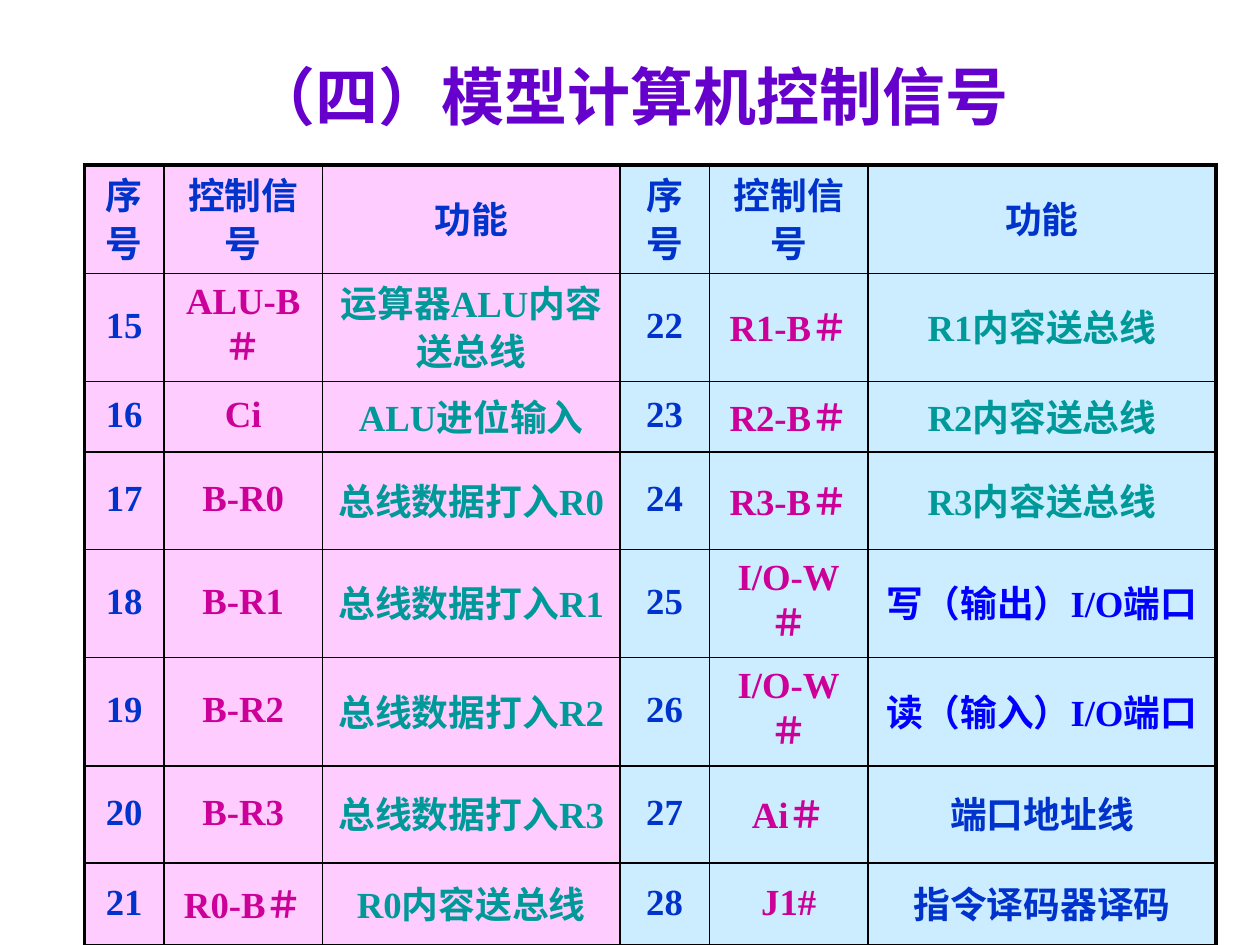
from lxml.etree import SubElement
from pptx import Presentation
from pptx.dml.color import RGBColor
from pptx.enum.text import MSO_ANCHOR, PP_ALIGN
from pptx.oxml.ns import qn
from pptx.util import Inches, Pt

TITLE = "（四）模型计算机控制信号"
HEADINGS = ("序号", "控制信号", "功能")
FIRST_NUMBER = 15

# (control signal, function, colour role of the function)
LEFT_SIGNALS = [
    ("ALU-B＃", "运算器ALU内容送总线", "function"),
    ("Ci", "ALU进位输入", "function"),
    ("B-R0", "总线数据打入R0", "function"),
    ("B-R1", "总线数据打入R1", "function"),
    ("B-R2", "总线数据打入R2", "function"),
    ("B-R3", "总线数据打入R3", "function"),
    ("R0-B＃", "R0内容送总线", "function"),
]
RIGHT_SIGNALS = [
    ("R1-B＃", "R1内容送总线", "function"),
    ("R2-B＃", "R2内容送总线", "function"),
    ("R3-B＃", "R3内容送总线", "function"),
    ("I/O-W＃", "写（输出）I/O端口", "port"),
    ("I/O-W＃", "读（输入）I/O端口", "port"),
    ("Ai＃", "端口地址线", "base"),
    ("J1#", "指令译码器译码", "base"),
]

COLUMN_WIDTHS = (0.63, 1.26, 2.36, 0.71, 1.26, 2.76)
ROW_HEIGHTS = (0.73, 0.73, 0.56, 0.56, 0.73, 0.73, 0.56, 0.66)

THEME = {
    "title": "6600CC", "base": "0033CC", "signal": "CC0099",
    "function": "009999", "port": "0000FF",
    "left_fill": "FFCCFF", "right_fill": "CCECFF", "border": "000000",
    "title_font": "Arial", "table_font": "Times New Roman",
    "title_size": 36, "table_size": 21, "outer_line": 2.25, "inner_line": 1,
}


def style_text(paragraph, font_name, size, colour):
    paragraph.alignment = PP_ALIGN.CENTER
    for run in paragraph.runs:
        run.font.name = font_name
        run.font.size = Pt(size)
        run.font.bold = True
        run.font.color.rgb = RGBColor.from_string(THEME[colour])


def draw_borders(cell, outer_sides):
    """Give the cell four lines, heavier where it meets the table's edge."""
    properties = cell._tc.get_or_add_tcPr()
    for side in "LRTB":
        weight = THEME["outer_line" if outer_sides[side] else "inner_line"]
        line = SubElement(properties, qn(f"a:ln{side}"), w=str(Pt(weight)))
        fill = SubElement(line, qn("a:solidFill"))
        SubElement(fill, qn("a:srgbClr"), val=THEME["border"])


def signal_rows():
    """Return each table row as (text, colour role) pairs."""
    rows = [[(heading, "base") for heading in HEADINGS * 2]]
    for index, pair in enumerate(zip(LEFT_SIGNALS, RIGHT_SIGNALS)):
        row = []
        for half, (signal, function, role) in enumerate(pair):
            number = FIRST_NUMBER + index + half * len(LEFT_SIGNALS)
            row += [(str(number), "base"), (signal, "signal"), (function, role)]
        rows.append(row)
    return rows


def add_title(slide):
    title = slide.shapes.title
    title.left, title.top = Inches(0.75), Inches(0.36)
    title.width, title.height = Inches(8.5), Inches(0.8)
    title.text_frame.text = TITLE
    title.text_frame.vertical_anchor = MSO_ANCHOR.MIDDLE
    style_text(title.text_frame.paragraphs[0], THEME["title_font"],
               THEME["title_size"], "title")


def add_signal_table(slide):
    last_row, last_column = len(ROW_HEIGHTS) - 1, len(COLUMN_WIDTHS) - 1
    table = slide.shapes.add_table(
        len(ROW_HEIGHTS), len(COLUMN_WIDTHS), Inches(0.67), Inches(1.31),
        Inches(sum(COLUMN_WIDTHS)), Inches(sum(ROW_HEIGHTS))).table
    table.first_row = table.horz_banding = False
    for column, width in zip(table.columns, COLUMN_WIDTHS):
        column.width = Inches(width)
    for row, height in zip(table.rows, ROW_HEIGHTS):
        row.height = Inches(height)

    for r, row in enumerate(signal_rows()):
        for c, (text, role) in enumerate(row):
            cell = table.cell(r, c)
            cell.vertical_anchor = MSO_ANCHOR.MIDDLE
            draw_borders(cell, {"L": c == 0, "R": c == last_column,
                                "T": r == 0, "B": r == last_row})
            half_fill = "left_fill" if c < len(HEADINGS) else "right_fill"
            cell.fill.solid()
            cell.fill.fore_color.rgb = RGBColor.from_string(THEME[half_fill])
            cell.text_frame.text = text
            paragraph = cell.text_frame.paragraphs[0]
            paragraph.line_spacing = 0.9
            paragraph.space_after = Pt(0.2 * THEME["table_size"])
            style_text(paragraph, THEME["table_font"], THEME["table_size"], role)


def main():
    presentation = Presentation()
    presentation.slide_width, presentation.slide_height = Inches(10), Inches(7.5)
    slide = presentation.slides.add_slide(presentation.slide_layouts[5])
    add_title(slide)
    add_signal_table(slide)
    presentation.save("out.pptx")


if __name__ == "__main__":
    main()
